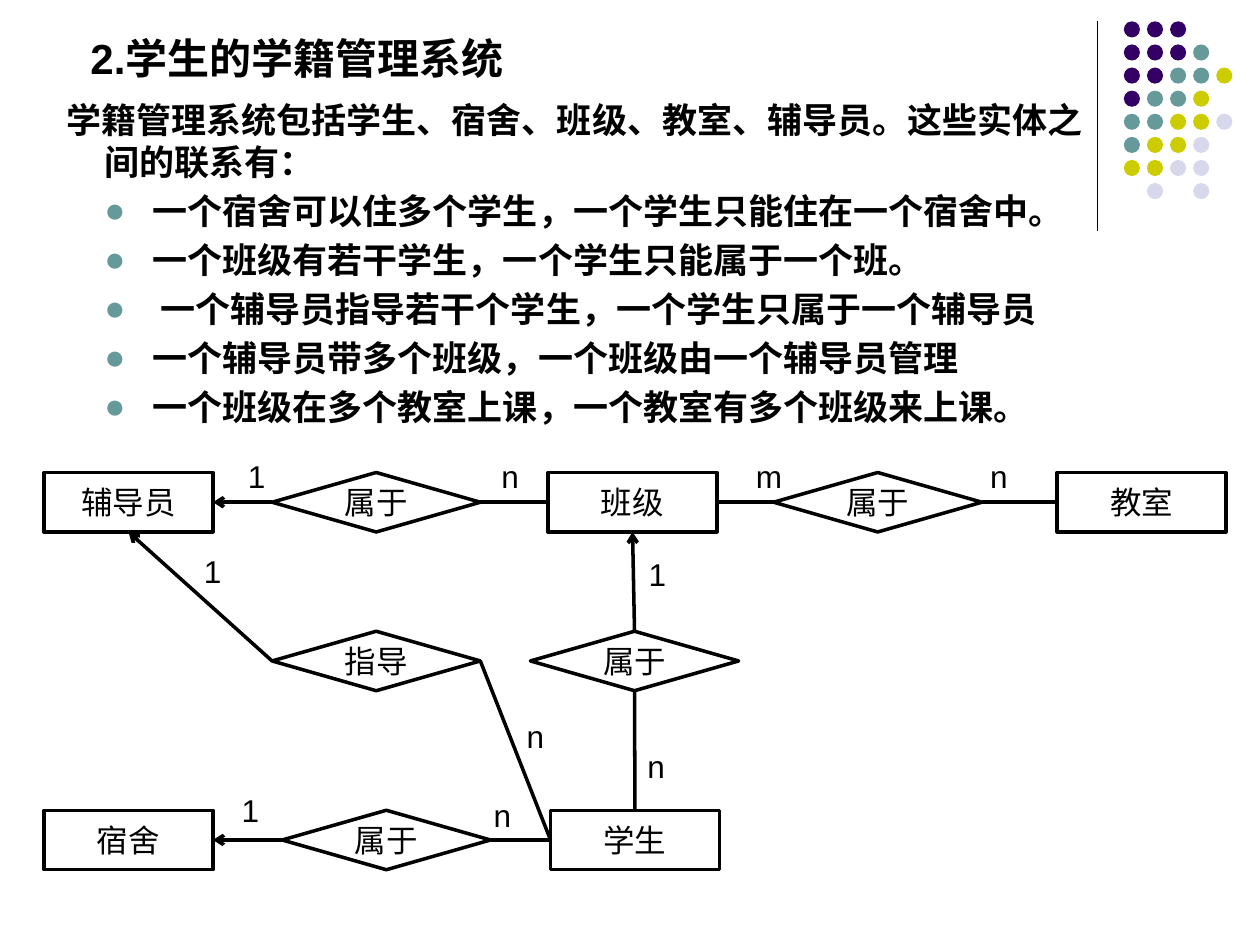
import pptx
import pptx.util
import pptx.dml.color
import pptx.enum.shapes
import pptx.enum.text
import pptx.oxml.ns
from lxml import etree

Pt = pptx.util.Pt
RGBColor = pptx.dml.color.RGBColor
MSO_SHAPE = pptx.enum.shapes.MSO_SHAPE
MSO_ANCHOR = pptx.enum.text.MSO_ANCHOR
PP_ALIGN = pptx.enum.text.PP_ALIGN
qn = pptx.oxml.ns.qn

BLACK = RGBColor(0x00, 0x00, 0x00)
WHITE = RGBColor(0xFF, 0xFF, 0xFF)
PURPLE = RGBColor(0x33, 0x00, 0x66)
TEAL = RGBColor(0x66, 0x99, 0x99)
OLIVE = RGBColor(0xCC, 0xCC, 0x00)
LAVENDER = RGBColor(0xD8, 0xD8, 0xEC)

FONT = "Arial"
TOP, LEFT, BOTTOM, RIGHT = range(4)
NODE_HEIGHT = 34
NODE_WIDTHS = {MSO_SHAPE.RECTANGLE: 96.5, MSO_SHAPE.DIAMOND: 119}
ROW_1, ROW_2, ROW_3 = 270, 360.7, 463

DOT_COLORS = {"P": PURPLE, "T": TEAL, "O": OLIVE, "L": LAVENDER}
DOT_ROWS = ["PPP", "PPPT", "PPTTO", "PTTO", "TTOOL", "TOOL", "OOLL", ".L.L"]

HEADING = "2.学生的学籍管理系统"
INTRODUCTION = "学籍管理系统包括学生、宿舍、班级、教室、辅导员。这些实体之间的联系有："
RELATIONS = [
    "一个宿舍可以住多个学生，一个学生只能住在一个宿舍中。",
    "一个班级有若干学生，一个学生只能属于一个班。",
    " 一个辅导员指导若干个学生，一个学生只属于一个辅导员",
    "一个辅导员带多个班级，一个班级由一个辅导员管理",
    "一个班级在多个教室上课，一个教室有多个班级来上课。",
]

# key: (preset shape, text, left, top)
NODES = {
    "counsellor": (MSO_SHAPE.RECTANGLE, "辅导员", 25.2, ROW_1),
    "class": (MSO_SHAPE.RECTANGLE, "班级", 313.2, ROW_1),
    "classroom": (MSO_SHAPE.RECTANGLE, "教室", 604.1, ROW_1),
    "student": (MSO_SHAPE.RECTANGLE, "学生", 314.6, ROW_3),
    "dormitory": (MSO_SHAPE.RECTANGLE, "宿舍", 25.2, ROW_3),
    "class-counsellor": (MSO_SHAPE.DIAMOND, "属于", 155.5, ROW_1),
    "class-classroom": (MSO_SHAPE.DIAMOND, "属于", 442.1, ROW_1),
    "guidance": (MSO_SHAPE.DIAMOND, "指导", 155.5, ROW_2),
    "student-class": (MSO_SHAPE.DIAMOND, "属于", 303.1, ROW_2),
    "student-dormitory": (MSO_SHAPE.DIAMOND, "属于", 161.3, ROW_3),
}

# (start node, start side, end node, end side, has arrowhead)
LINKS = [
    ("class", LEFT, "class-counsellor", RIGHT, False),
    ("class-counsellor", LEFT, "counsellor", RIGHT, True),
    ("class-classroom", LEFT, "class", RIGHT, False),
    ("classroom", LEFT, "class-classroom", RIGHT, False),
    ("student", LEFT, "guidance", RIGHT, False),
    ("guidance", LEFT, "counsellor", BOTTOM, True),
    ("student-class", BOTTOM, "student", TOP, False),
    ("student-class", TOP, "class", BOTTOM, True),
    ("student", LEFT, "student-dormitory", RIGHT, False),
    ("student-dormitory", LEFT, "dormitory", RIGHT, True),
]

# (text, left, top)
CARDINALITIES = [
    ("1", 134.6, 257.8), ("n", 279.4, 257.8), ("m", 424.8, 257.8), ("n", 558.7, 257.8),
    ("1", 109.4, 311.8), ("1", 363.6, 313.9), ("n", 293.8, 406.1), ("n", 362.9, 423.4),
    ("1", 131, 448.6), ("n", 275, 451.4),
]


def format_runs(paragraph, size, bold=False):
    for run in paragraph.runs:
        run.font.name = FONT
        run.font.size = Pt(size)
        run.font.bold = bold
        run.font.color.rgb = BLACK


def place(shape, left, top, width, height):
    shape.left, shape.top = Pt(left), Pt(top)
    shape.width, shape.height = Pt(width), Pt(height)


def set_indent(paragraph, margin, indent, bullet_color=None):
    properties = paragraph._p.get_or_add_pPr()
    properties.set("marL", str(Pt(margin)))
    properties.set("indent", str(Pt(indent)))
    if bullet_color is None:
        etree.SubElement(properties, qn("a:buNone"))
        return
    color = etree.SubElement(properties, qn("a:buClr"))
    etree.SubElement(color, qn("a:srgbClr"), val=str(bullet_color))
    etree.SubElement(properties, qn("a:buFont"), typeface=FONT)
    etree.SubElement(properties, qn("a:buChar"), char="●")


def fill_title(title):
    place(title, 44.5, 15.1, 598, 36)
    frame = title.text_frame
    frame.text = HEADING
    frame.auto_size = pptx.enum.text.MSO_AUTO_SIZE.NONE
    frame.vertical_anchor = MSO_ANCHOR.TOP
    frame.paragraphs[0].alignment = PP_ALIGN.LEFT
    format_runs(frame.paragraphs[0], 24, bold=True)


def fill_body(body):
    place(body, 25.2, 52.7, 617.8, 195)
    frame = body.text_frame
    frame.text = "\n".join([INTRODUCTION] + RELATIONS)
    frame.auto_size = pptx.enum.text.MSO_AUTO_SIZE.NONE
    for index, paragraph in enumerate(frame.paragraphs):
        paragraph.space_before = Pt(4 if index else 0)
        if index:
            paragraph.level = 1
            set_indent(paragraph, 54.7, -27.4, TEAL)
        else:
            set_indent(paragraph, 27.4, -22)
        format_runs(paragraph, 20, bold=True)


def add_dots(slide):
    size, pitch = 9.2, 13.2
    for row, colors in enumerate(DOT_ROWS):
        for column, key in enumerate(colors):
            if key not in DOT_COLORS:
                continue
            dot = slide.shapes.add_shape(
                MSO_SHAPE.OVAL, Pt(642.2 + column * pitch), Pt(12.2 + row * pitch),
                Pt(size), Pt(size))
            dot.shadow.inherit = False
            dot.fill.solid()
            dot.fill.fore_color.rgb = DOT_COLORS[key]
            dot.line.fill.background()


def add_node(slide, preset, text, left, top):
    node = slide.shapes.add_shape(
        preset, Pt(left), Pt(top), Pt(NODE_WIDTHS[preset]), Pt(NODE_HEIGHT))
    node.shadow.inherit = False
    node.fill.solid()
    node.fill.fore_color.rgb = WHITE
    node.line.color.rgb = BLACK
    node.line.width = Pt(2)
    frame = node.text_frame
    frame.text = text
    frame.word_wrap = False
    frame.vertical_anchor = MSO_ANCHOR.MIDDLE
    frame.paragraphs[0].alignment = PP_ALIGN.CENTER
    format_runs(frame.paragraphs[0], 18)
    return node


def add_line(slide, start=(0, 0), end=(0, 0), width=2, arrow=False):
    line = slide.shapes.add_connector(
        pptx.enum.shapes.MSO_CONNECTOR.STRAIGHT, *map(Pt, start + end))
    line.line.color.rgb = BLACK
    line.line.width = Pt(width)
    if arrow:
        etree.SubElement(line.line._get_or_add_ln(), qn("a:tailEnd"), type="arrow")
    etree.SubElement(line._element.spPr, qn("a:effectLst"))
    return line


def add_cardinality(slide, text, left, top):
    width = 29.5 if text == "m" else 24.5
    label = slide.shapes.add_textbox(Pt(left), Pt(top), Pt(width), Pt(28.8))
    label.text_frame.text = text
    label.text_frame.word_wrap = False
    format_runs(label.text_frame.paragraphs[0], 18)


def main():
    presentation = pptx.Presentation()
    presentation.slide_width, presentation.slide_height = Pt(720), Pt(540)
    slide = presentation.slides.add_slide(presentation.slide_layouts[1])
    fill_title(slide.shapes.title)
    fill_body(slide.placeholders[1])
    add_line(slide, (627.1, 12.2), (627.1, 131.8), width=0.75)
    add_dots(slide)
    nodes = {key: add_node(slide, *node) for key, node in NODES.items()}
    for start, start_side, end, end_side, arrow in LINKS:
        link = add_line(slide, arrow=arrow)
        link.begin_connect(nodes[start], start_side)
        link.end_connect(nodes[end], end_side)
    for cardinality in CARDINALITIES:
        add_cardinality(slide, *cardinality)
    presentation.save("out.pptx")


if __name__ == "__main__":
    main()
